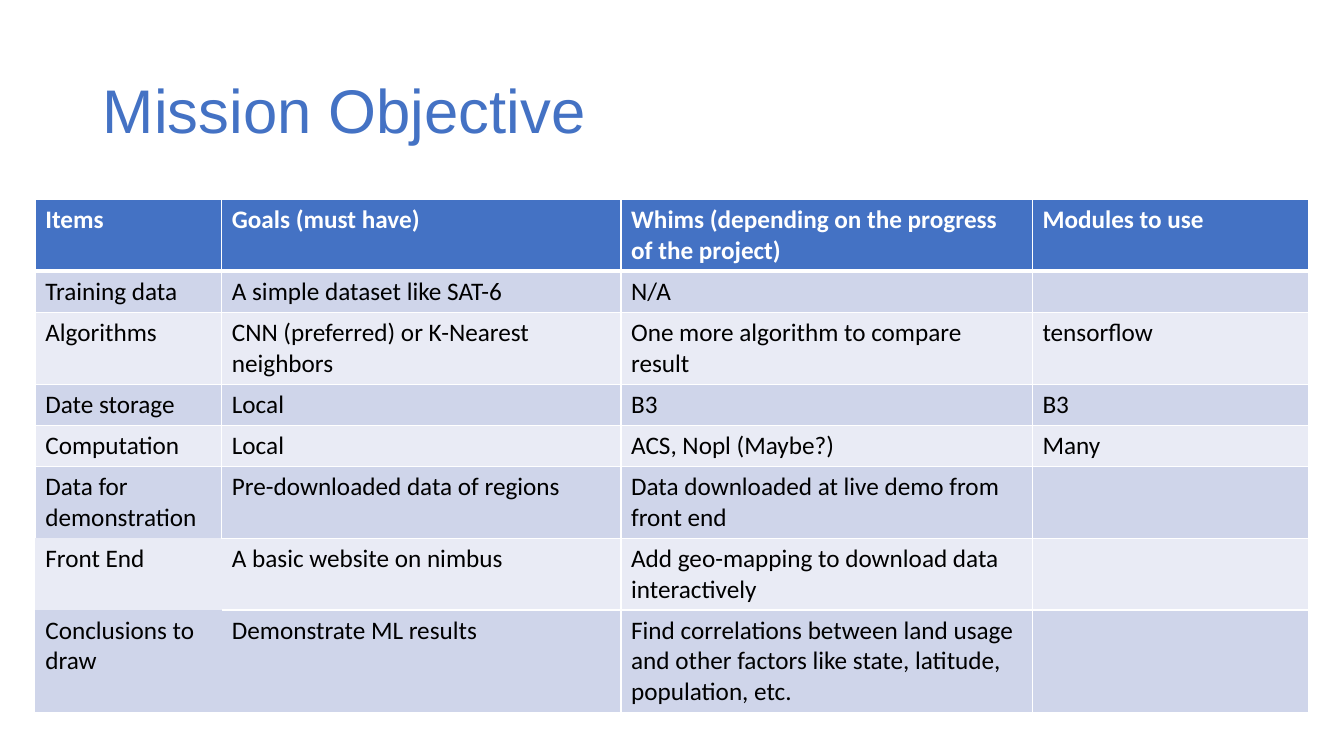
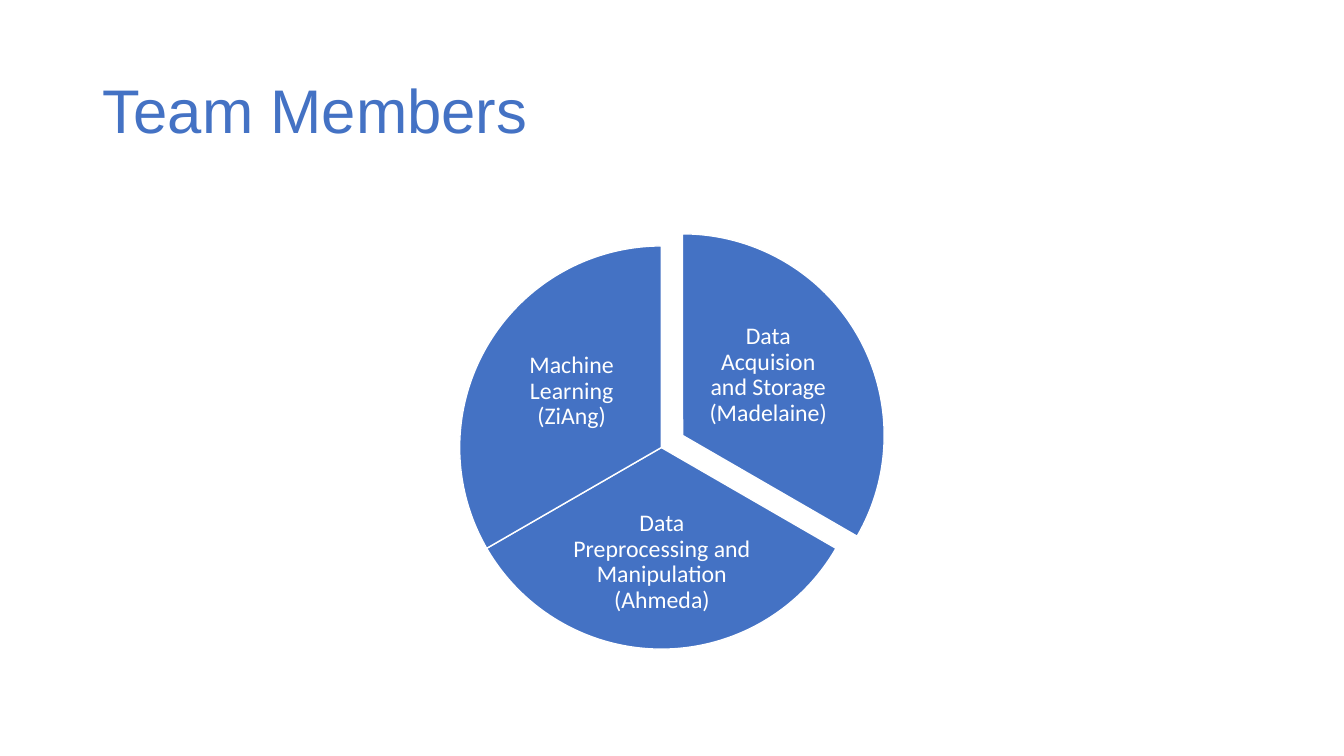
"""Build two project slides: an objectives table and a team pie."""
from lxml import etree
from pptx import Presentation
from pptx.dml.color import RGBColor as RGB
from pptx.enum.shapes import MSO_SHAPE as Shape
from pptx.enum.text import MSO_ANCHOR as Anchor, PP_ALIGN as Align
from pptx.oxml.ns import qn
from pptx.util import Inches, Pt

COLORS = {"blue": "4472C4", "white": "FFFFFF", "black": "000000",
          "dark": "CFD5EA", "light": "E9EBF5"}

GOALS = [
    ("Items", "Goals (must have)",
     "Whims (depending on the progress of the project)", "Modules to use"),
    ("Training data", "A simple dataset like SAT-6", "N/A", ""),
    ("Algorithms", "CNN (preferred) or K-Nearest neighbors",
     "One more algorithm to compare result", "tensorflow"),
    ("Date storage", "Local", "B3", "B3"),
    ("Computation", "Local", "ACS, Nopl (Maybe?)", "Many"),
    ("Data for demonstration", "Pre-downloaded data of regions",
     "Data downloaded at live demo from front end", ""),
    ("Front End", "A basic website on nimbus",
     "Add geo-mapping to download data interactively", ""),
    ("Conclusions to draw", "Demonstrate ML results",
     "Find correlations between land usage and other factors like state, "
     "latitude, population, etc.", ""),
]
WIDTHS = (1.85, 3.96, 4.08, 2.74)
ROW = 0.41
OPEN = {(5, 0): "B", (6, 0): "LRTB", (7, 0): "LRTB", (6, 1): "L", (7, 1): "L"}

PIE = 4
TEAM = [
    ("Data Acquision and Storage (Madelaine)",
     (4.77, 2.32), (162, 18), (6.94, 3.06, 1.36, 1.33)),
    ("Data Preprocessing and Manipulation (Ahmeda)",
     (4.56, 2.44), (18, 90), (5.66, 4.96, 1.81, 1.24)),
    ("Machine Learning (ZiAng)",
     (4.56, 2.44), (90, 162), (4.99, 3.22, 1.36, 1.33)),
]


def color(name):
    return RGB.from_string(COLORS[name])


def write(frame, text, size=18, font="Calibri", ink="black", bold=False,
          align=Align.LEFT, space=None):
    para = frame.paragraphs[0]
    para.alignment = align
    para.line_spacing = space
    run = para.add_run()
    run.text = text
    run.font.size = Pt(size)
    run.font.name = font
    run.font.bold = bold
    run.font.color.rgb = color(ink)


def edge(cell, row, col):
    props = cell._tc.get_or_add_tcPr()
    for i, side in enumerate("LRTB"):
        thick = (row, side) in ((0, "B"), (1, "T"))
        line = etree.Element(qn("a:ln" + side), w=str(Pt(3 if thick else 1)))
        if side in OPEN.get((row, col), ""):
            etree.SubElement(line, qn("a:noFill"))
        else:
            fill = etree.SubElement(line, qn("a:solidFill"))
            etree.SubElement(fill, qn("a:srgbClr"), val=COLORS["white"])
        props.insert(i, line)


def add_slide(deck, layout, title):
    slide = deck.slides.add_slide(layout)
    write(slide.shapes.title.text_frame, title, size=44, font="Arial",
          ink="blue", space=0.9)
    return slide


def add_goals(slide):
    table = slide.shapes.add_table(
        len(GOALS), len(WIDTHS), Inches(0.35), Inches(1.98),
        Inches(sum(WIDTHS)), Inches(ROW * len(GOALS))).table
    for col, width in zip(table.columns, WIDTHS):
        col.width = Inches(width)
    for r, texts in enumerate(GOALS):
        head = r == 0
        tint = "blue" if head else "dark" if r % 2 else "light"
        for c, text in enumerate(texts):
            cell = table.cell(r, c)
            cell.fill.solid()
            cell.fill.fore_color.rgb = color(tint)
            edge(cell, r, c)
            if text:
                write(cell.text_frame, text, bold=head,
                      ink="white" if head else "black")


def add_part(slide, text, spot, angles, box):
    part = slide.shapes.add_shape(
        Shape.PIE, *map(Inches, spot), Inches(PIE), Inches(PIE))
    part.adjustments[0], part.adjustments[1] = angles
    part.shadow.inherit = False
    part.fill.solid()
    part.fill.fore_color.rgb = color("blue")
    part.line.color.rgb = color("white")
    part.line.width = Pt(1)
    frame = slide.shapes.add_textbox(*map(Inches, box)).text_frame
    frame.word_wrap = True
    frame.vertical_anchor = Anchor.MIDDLE
    frame.margin_left = frame.margin_right = Inches(0.02)
    frame.margin_top = frame.margin_bottom = Inches(0.02)
    write(frame, text, size=17, ink="white", align=Align.CENTER, space=0.9)


def main():
    deck = Presentation()
    deck.slide_width, deck.slide_height = Inches(13.33), Inches(7.5)
    layout = deck.slide_layouts.get_by_name("Title Only")
    title = layout.placeholders[0]
    title.left, title.top = Inches(0.92), Inches(0.4)
    title.width, title.height = Inches(11.5), Inches(1.45)
    title.text_frame.vertical_anchor = Anchor.MIDDLE

    add_goals(add_slide(deck, layout, "Mission Objective"))
    team = add_slide(deck, layout, "Team Members")
    for member in TEAM:
        add_part(team, *member)
    deck.save("out.pptx")


if __name__ == "__main__":
    main()
